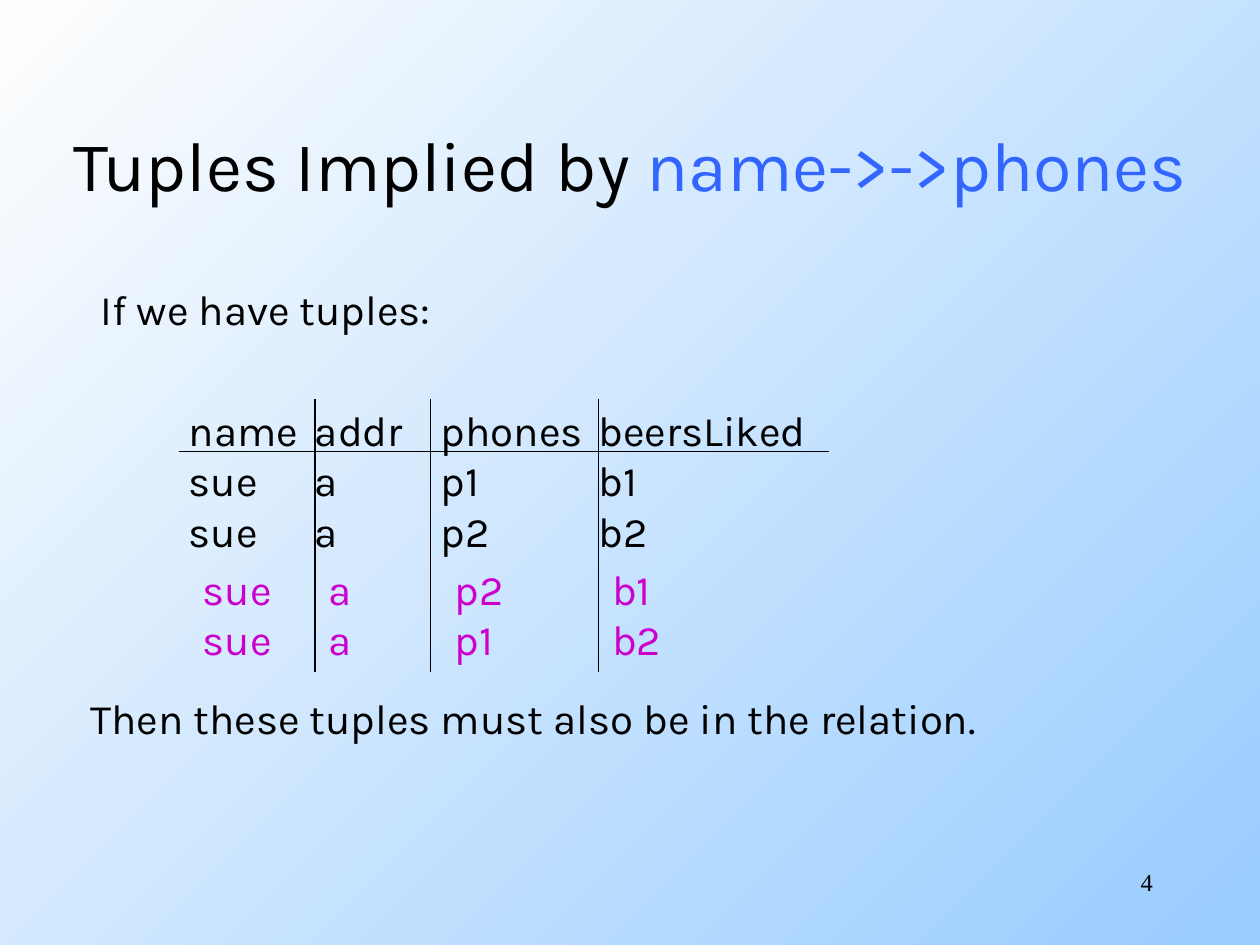
from lxml import etree
from pptx import Presentation, util as u
from pptx.dml.color import RGBColor
from pptx.enum import shapes, text
from pptx.oxml.ns import qn

BLACK = RGBColor(0x00, 0x00, 0x00)
BLUE = RGBColor(0x33, 0x66, 0xFF)
MAGENTA = RGBColor(0xCC, 0x00, 0xCC)
SKY = RGBColor(0x99, 0xCC, 0xFF)
WHITE = RGBColor(0xFE, 0xFE, 0xFE)

COLUMN_TABS = (2.54, 5.08, 8.25)


class SlideBuilder:
    """Draws styled elements on the current slide."""

    font = "Karla"
    size = 24

    def __init__(self, slide):
        self.s = slide

    def background(self, start, end, angle):
        fill = self.s.background.fill
        fill.gradient()
        fill.gradient_angle = angle
        for stop, color, position in zip(fill.gradient_stops, (start, end), (0, 1)):
            stop.color.rgb = color
            stop.position = position

    def text(self, box, paragraphs, size=None, font=None, align=text.PP_ALIGN.LEFT,
             anchor=text.MSO_ANCHOR.TOP, tabs=()):
        tf = self.s.shapes.add_textbox(*map(u.Cm, box)).text_frame
        tf.word_wrap = True
        tf.vertical_anchor = anchor
        for i, runs in enumerate(paragraphs):
            p = tf.paragraphs[0] if i == 0 else tf.add_paragraph()
            p.alignment = align
            if tabs:
                self.tab_stops(p, tabs)
            for words, color in runs:
                r = p.add_run()
                r.text = words
                r.font.name = font or self.font
                r.font.size = u.Pt(size or self.size)
                r.font.color.rgb = color

    def tab_stops(self, p, tabs):
        tab_list = etree.SubElement(p._p.get_or_add_pPr(), qn("a:tabLst"))
        for tab in tabs:
            etree.SubElement(tab_list, qn("a:tab"), pos=str(u.Cm(tab)), algn="l")

    def rows(self, box, rows, color):
        self.text(box, [[("\t".join(row), color)] for row in rows], tabs=COLUMN_TABS)

    def line(self, x1, y1, x2, y2):
        sp = self.s.shapes.add_connector(
            shapes.MSO_CONNECTOR.STRAIGHT, *map(u.Cm, (x1, y1, x2, y2)))
        sp.line.color.rgb = BLACK
        sp.line.width = u.Pt(0.75)
        etree.SubElement(sp._element.spPr, qn("a:effectLst"))


def main():
    prs = Presentation()
    prs.slide_width, prs.slide_height = u.Cm(25.4), u.Cm(19.05)
    s = SlideBuilder(prs.slides.add_slide(prs.slide_layouts[6]))

    s.background(SKY, WHITE, 135)
    s.text((0, 1.7, 25.4, 3.18),
           [[("Tuples Implied by ", BLACK), ("name->->phones", BLUE)]],
           size=40, align=text.PP_ALIGN.CENTER, anchor=text.MSO_ANCHOR.MIDDLE)
    s.text((1.78, 5.59, 7.47, 1.27), [[("If we have tuples:", BLACK)]])
    s.rows((3.56, 8.03, 13.6, 3.3),
           [("name", "addr", "phones", "beersLiked"),
            ("sue", "a", "p1", "b1"),
            ("sue", "a", "p2", "b2")], BLACK)
    s.rows((3.84, 11.23, 9.78, 2.29),
           [("sue", "a", "p2", "b1"), ("sue", "a", "p1", "b2")], MAGENTA)
    s.text((1.57, 13.84, 18.87, 1.27),
           [[("Then these tuples must also be in the relation.", BLACK)]])

    s.line(3.6, 9.1, 16.72, 9.1)
    for x in (6.35, 8.68, 12.06):
        s.line(x, 8.04, x, 13.55)

    s.text((18.2, 17.35, 5.29, 1.27), [[("4", BLACK)]],
           size=14, font="Times New Roman", align=text.PP_ALIGN.RIGHT)
    prs.save("out.pptx")


if __name__ == "__main__":
    main()
